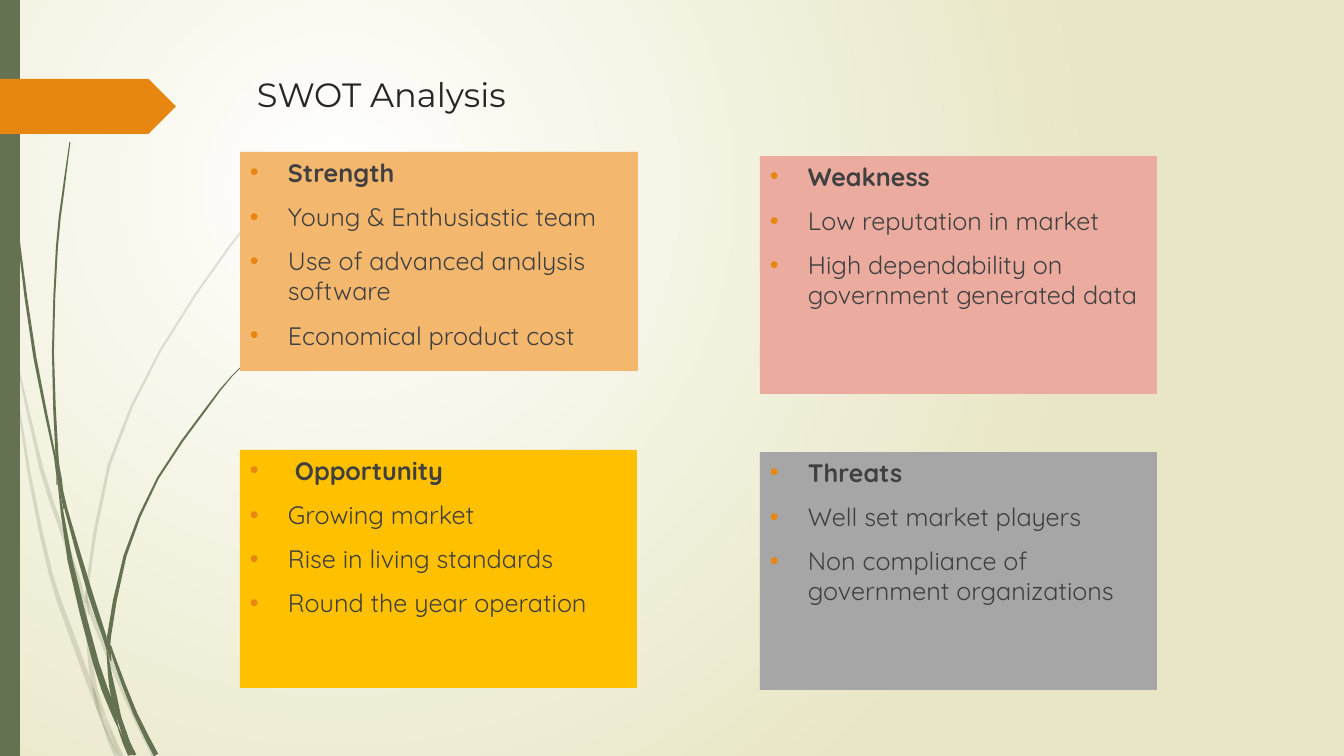
from dataclasses import dataclass
from math import hypot

from lxml import etree
from pptx import Presentation
from pptx import util as u
from pptx.dml import color
from pptx.enum import shapes, text
from pptx.oxml import ns

PX = 12192000 / 1344


@dataclass(frozen=True)
class Theme:
    """Colours, fonts and type sizes of the deck."""
    glow: str = "FFFFFF"
    sand: str = "E8E6C4"
    green: str = "647252"
    orange: str = "E78712"
    title_ink: str = "262626"
    body_ink: str = "404040"
    title_font: str = "Montserrat"
    body_font: str = "Quicksand"
    title_size: int = 24
    body_size: int = 18
    paragraph_gap: int = 10
    faint_alpha: int = 20


THEME = Theme()

FAINT_BLADES = [
    [(1, 284, 1), (5, 315, 8), (11, 353, 1)],
    [(11, 353, 1), (29, 473, 3), (51, 575, 4), (68, 625, 5), (91, 688, 5), (102, 720, 1)],
    [(102, 720, 1), (109, 740, 3), (117, 756, 5)],
    [(14, 348, 1), (41, 467, 4), (60, 525, 4), (80, 585, 4), (85, 604, 1)],
    [(86, 591, 1), (87, 602, 3), (89, 615, 1)],
    [(89, 601, 1), (91, 613, 4), (126, 698, 4), (154, 756, 4)],
    [(315, 154, 1), (270, 199, 1), (230, 246, 2), (160, 351, 2), (109, 465, 3),
     (87, 589, 3), (88, 601, 1)],
    [(85, 604, 1), (89, 650, 4), (95, 690, 5), (106, 717, 1)],
    [(94, 688, 1), (98, 707, 4), (111, 738, 5), (120, 756, 1)],
    [(106, 717, 1), (115, 740, 2), (122, 756, 3)],
]
DARK_BLADES = [
    [(3, 0, 1), (7, 110, 1), (18, 234, 2), (35, 358, 3), (55, 457, 2), (57, 485, 1)],
    [(56, 453, 1), (60, 480, 4), (64, 509, 1)],
    [(58, 481, 1), (70, 560, 5), (96, 663, 6), (111, 705, 6), (118, 727, 1)],
    [(118, 727, 1), (124, 742, 3), (130, 755, 4)],
    [(70, 142, 1), (63, 194, 2), (57, 247, 2), (53, 352, 2), (57, 455, 3), (60, 476, 1)],
    [(60, 476, 1), (66, 509, 3), (91, 596, 5), (104, 635, 4), (107, 650, 1)],
    [(107, 636, 1), (109, 648, 4), (111, 661, 1)],
    [(111, 646, 1), (114, 658, 3), (135, 713, 4), (156, 755, 5)],
    [(262, 347, 1), (232, 376, 1), (206, 409, 2), (158, 478, 2), (125, 556, 3),
     (109, 637, 4), (111, 646, 1)],
    [(107, 650, 1), (110, 675, 4), (114, 697, 6), (119, 716, 4), (123, 725, 1)],
    [(111, 697, 1), (117, 712, 4), (125, 735, 5), (132, 755, 3)],
    [(123, 725, 1), (129, 742, 2), (135, 755, 3)],
]
PANELS = [
    ((240, 152, 398, 219), "F4B76E", "Strength",
     ["Young & Enthusiastic team", "Use of advanced analysis software",
      "Economical product cost"]),
    ((240, 450, 397, 238), "FFC000", " Opportunity",
     ["Growing market", "Rise in living standards", "Round the year operation"]),
    ((760, 156, 397, 238), "EBAB9F", "Weakness",
     ["Low reputation in market", "High dependability on government generated data"]),
    ((760, 452, 397, 238), "A6A6A6", "Threats",
     ["Well set market players", "Non compliance of government organizations"]),
]


def px(length):
    """Turn px into EMU."""
    return u.Emu(round(length * PX))


def rgb(code):
    """Turn a hex code into a colour."""
    return color.RGBColor.from_string(code)


def assign(target, values):
    """Set every attribute named in values."""
    for name, value in values.items():
        setattr(target, name, value)


def add_child(parent, tag, **attributes):
    """Append a drawing element to its parent."""
    return etree.SubElement(parent, ns.qn(tag), attributes)


def paint(shape, code):
    """Give a shape a plain fill without line or shadow."""
    shape.shadow.inherit = False
    shape.fill.solid()
    shape.fill.fore_color.rgb = rgb(code)
    shape.line.fill.background()


def add_block(page, kind, box, code):
    """Place a filled preset shape in the box."""
    block = page.shapes.add_shape(kind, *map(px, box))
    paint(block, code)
    return block


def write(para, words, **values):
    """Add a formatted run to a paragraph."""
    span = para.add_run()
    span.text = words
    span.font.color.rgb = rgb(values.pop("ink"))
    assign(span.font, values)


def draw_background(page):
    """Fill the page with a glow that fades towards its edges."""
    fill = page.background.fill
    fill.gradient()
    for stop, code, position in zip(fill.gradient_stops, (THEME.glow, THEME.sand), (0, 1)):
        stop.color.rgb = rgb(code)
        stop.position = position
    gradient = next(page.element.iter(ns.qn("a:gradFill")))
    gradient.remove(gradient.find(ns.qn("a:lin")))
    circle = add_child(gradient, "a:path", path="circle")
    add_child(circle, "a:fillToRect", l="50000", t="50000", r="100000", b="100000")


def smooth(spine, steps=2):
    """Run a Catmull-Rom curve through the spine points."""
    padded = [spine[0], *spine, spine[-1]]
    curve = []
    for quad in zip(padded, padded[1:], padded[2:], padded[3:]):
        for step in range(steps):
            t = step / steps
            curve.append([b + t * (c - a + t * (2 * a - 5 * b + 4 * c - d
                          + t * (3 * (b - c) + d - a))) / 2
                          for a, b, c, d in zip(*quad)])
    return curve + [spine[-1]]


def draw_blade(page, box, spine, alpha):
    """Draw one tapered piece of grass inside the box."""
    curve = smooth(spine)
    left, right = [], []
    for before, (x, y, width), after in zip(curve[:1] + curve, curve, curve[1:] + curve[-1:]):
        run, rise = after[0] - before[0], after[1] - before[1]
        scale = width / 2 / hypot(run, rise)
        for side, sign in ((left, 1), (right, -1)):
            side.append((px(box[0] + x - sign * rise * scale),
                         px(box[1] + y + sign * run * scale)))
    outline = left + right[::-1]
    builder = page.shapes.build_freeform(*outline[0])
    builder.add_line_segments(outline[1:])
    blade = builder.convert_to_shape()
    paint(blade, THEME.green)
    if alpha < 100:
        tint = next(blade.element.spPr.iter(ns.qn("a:srgbClr")))
        add_child(tint, "a:alpha", val=str(alpha * 1000))


def draw_margin(page, box):
    """Draw the grass, side bar and arrow tag of the left margin."""
    left, top, _, height = box
    for blades, alpha in ((FAINT_BLADES, THEME.faint_alpha), (DARK_BLADES, 100)):
        for spine in blades:
            draw_blade(page, box, spine, alpha)
    add_block(page, shapes.MSO_SHAPE.RECTANGLE, (left, top, 20, height), THEME.green)
    tag = add_block(page, shapes.MSO_SHAPE.PENTAGON, (left, top + 79, 176, 55), THEME.orange)
    tag.adjustments[0] = 0.5


def draw_title(page, box, words):
    """Write the page title in the box."""
    frame = page.shapes.add_textbox(*map(px, box)).text_frame
    frame.word_wrap = True
    write(frame.paragraphs[0], words, ink=THEME.title_ink,
          name=THEME.title_font, size=u.Pt(THEME.title_size))


def draw_panel(page, box, code, heading, points):
    """Draw one quadrant with a bold heading and its points."""
    panel = add_block(page, shapes.MSO_SHAPE.RECTANGLE, box, code)
    frame = panel.text_frame
    assign(frame, {"word_wrap": True, "vertical_anchor": text.MSO_ANCHOR.TOP})
    for index, words in enumerate([heading, *points]):
        para = frame.add_paragraph() if index else frame.paragraphs[0]
        assign(para, {"alignment": text.PP_ALIGN.LEFT,
                      "space_before": u.Pt(THEME.paragraph_gap if index else 0)})
        layout = para._p.get_or_add_pPr()
        layout.set("marL", str(px(38)))
        layout.set("indent", str(px(-38)))
        add_child(add_child(layout, "a:buClr"), "a:srgbClr", val=THEME.orange)
        add_child(layout, "a:buFont", typeface="Arial")
        add_child(layout, "a:buChar", char="•")
        write(para, words, ink=THEME.body_ink, name=THEME.body_font,
              size=u.Pt(THEME.body_size), bold=index == 0)


def main():
    """Build the SWOT page and save the deck."""
    deck = Presentation()
    assign(deck, {"slide_width": px(1344), "slide_height": px(756)})
    page = deck.slides.add_slide(deck.slide_layouts[6])
    draw_background(page)
    draw_margin(page, (0, 0, 316, 756))
    draw_title(page, (247, 69, 983, 51), "SWOT Analysis")
    for panel in PANELS:
        draw_panel(page, *panel)
    deck.save("out.pptx")


if __name__ == "__main__":
    main()
